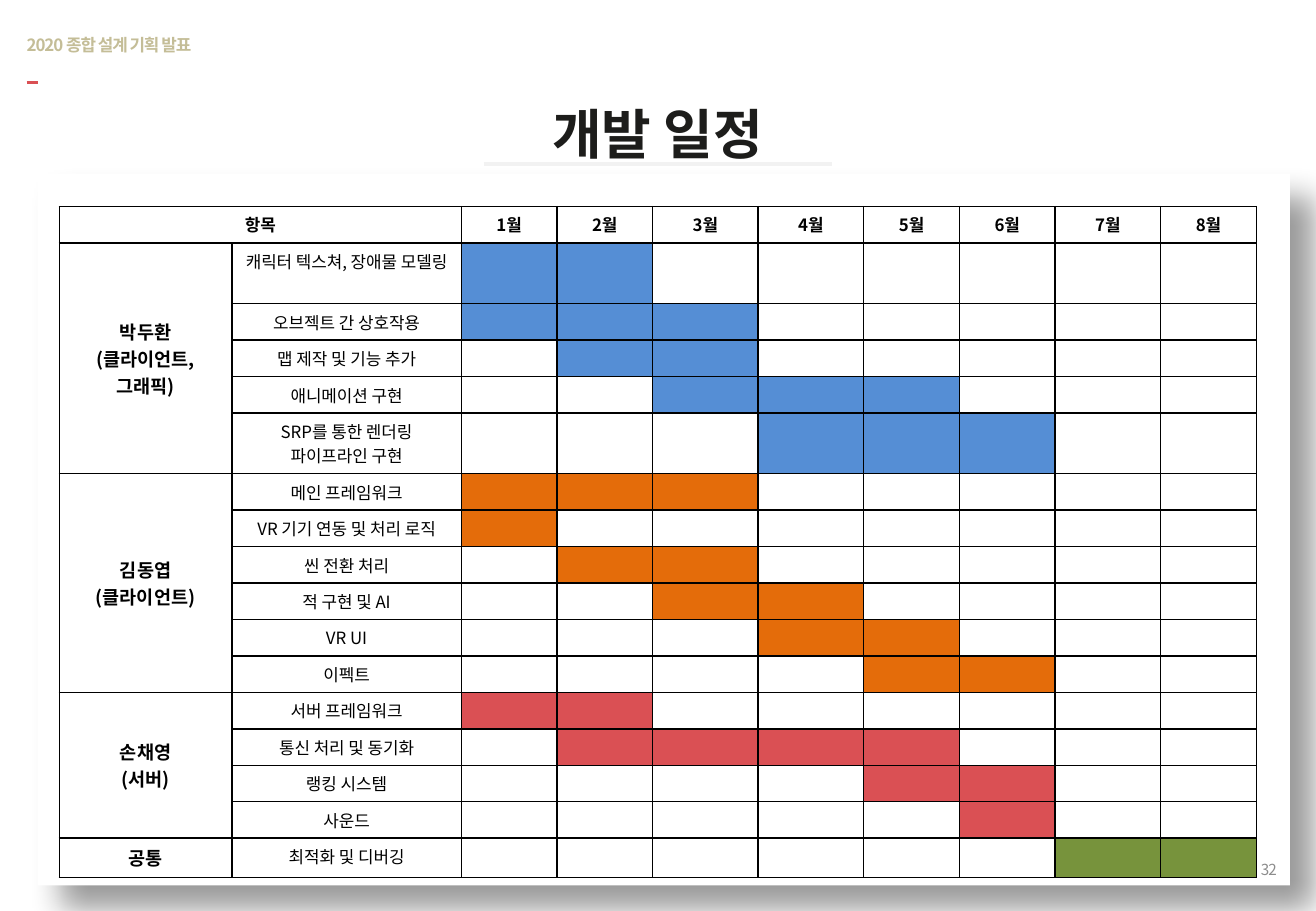
from dataclasses import dataclass

from lxml import etree
from pptx import Presentation
from pptx.dml.color import RGBColor
from pptx.enum.shapes import MSO_CONNECTOR, MSO_SHAPE
from pptx.enum.text import MSO_ANCHOR, PP_ALIGN
from pptx.oxml.ns import qn
from pptx.util import Pt

LEFT, CENTER, RIGHT = PP_ALIGN.LEFT, PP_ALIGN.CENTER, PP_ALIGN.RIGHT
TOP, MIDDLE = MSO_ANCHOR.TOP, MSO_ANCHOR.MIDDLE
STRAIGHT, RECTANGLE = MSO_CONNECTOR.STRAIGHT, MSO_SHAPE.RECTANGLE


@dataclass(frozen=True)
class Theme:
    font: str = "Noto Sans CJK KR"
    white: str = "FFFFFF"
    black: str = "000000"
    heading: str = "1D1D1B"
    tagline: str = "C4BD97"
    number: str = "8C8C8C"
    rule: str = "F2F2F2"
    blue: str = "558ED5"
    orange: str = "E46C0A"
    red: str = "DA5054"
    green: str = "77933C"
    heading_size: float = 32
    owner_size: float = 11
    body_size: float = 10
    number_size: float = 9
    tracking: float = -0.6
    border: float = 1


THEME = Theme()
COLUMN_WIDTHS = [102.2, 136, 56.7, 56.7, 62.6, 62.6, 56.7, 56.7, 62.6, 56.7]
ROW_HEIGHT, TALL_ROW_HEIGHT, LAST_ROW_HEIGHT = 21.6, 36, 23.2
TALL_ROWS = (1, 5)

SCHEDULE = [
    (["박두환", "(클라이언트, 그래픽)"], THEME.blue, [
        ("캐릭터 텍스쳐, 장애물 모델링", 1, 2),
        ("오브젝트 간 상호작용", 1, 3),
        ("맵 제작 및 기능 추가", 2, 3),
        ("애니메이션 구현", 3, 5),
        ("SRP를 통한 렌더링 파이프라인 구현", 4, 6),
    ]),
    (["김동엽", "(클라이언트)"], THEME.orange, [
        ("메인 프레임워크", 1, 3),
        ("VR 기기 연동 및 처리 로직", 1, 1),
        ("씬 전환 처리", 2, 3),
        ("적 구현 및 AI", 3, 4),
        ("VR UI", 4, 5),
        ("이펙트", 5, 6),
    ]),
    (["손채영", "(서버)"], THEME.red, [
        ("서버 프레임워크", 1, 2),
        ("통신 처리 및 동기화", 2, 5),
        ("랭킹 시스템", 5, 6),
        ("사운드", 6, 6),
    ]),
    (["공통"], THEME.green, [("최적화 및 디버깅", 7, 8)]),
]


def write(frame, lines, size, color, bold=False, align=CENTER, tracking=0):
    for index, line in enumerate(lines):
        para = frame.paragraphs[0] if index == 0 else frame.add_paragraph()
        para.text = line
        para.alignment = align
        font = para.font
        font.size, font.bold, font.name = Pt(size), bold, THEME.font
        font.color.rgb = RGBColor.from_string(color)
        defaults = para._p.pPr.find(qn("a:defRPr"))
        etree.SubElement(defaults, qn("a:ea"), typeface=THEME.font)
        if tracking:
            defaults.set("spc", str(round(tracking * 100)))


def add_text(page, bounds, text, size, color, inset=True, **style):
    box = page.shapes.add_textbox(*map(Pt, bounds))
    frame = box.text_frame
    frame.word_wrap = True
    frame.vertical_anchor = MIDDLE
    if not inset:
        frame.margin_left = frame.margin_right = Pt(0)
        frame.margin_top = frame.margin_bottom = Pt(0)
    write(frame, [text], size, color, **style)
    return frame


def add_rule(page, left, right, top, color, width):
    rule = page.shapes.add_connector(STRAIGHT, Pt(left), Pt(top), Pt(right), Pt(top))
    rule.line.color.rgb = RGBColor.from_string(color)
    rule.line.width = Pt(width)
    etree.SubElement(rule._element.spPr, qn("a:effectLst"))


def add_panel(page):
    panel = page.shapes.add_shape(RECTANGLE, Pt(22.3), Pt(103), Pt(742.3), Pt(421.9))
    panel.fill.solid()
    panel.fill.fore_color.rgb = RGBColor.from_string(THEME.white)
    panel.line.fill.background()
    panel.shadow.inherit = False
    effects = panel._element.spPr.find(qn("a:effectLst"))
    shadow = etree.SubElement(
        effects, qn("a:outerShdw"), blurRad=str(Pt(19)), dist=str(Pt(20)),
        dir="2700000", algn="tl", rotWithShape="0")
    color = etree.SubElement(shadow, qn("a:srgbClr"), val=THEME.black)
    etree.SubElement(color, qn("a:alpha"), val="40000")


def style_empty_cell(cell):
    properties = cell._tc.get_or_add_tcPr()
    for side in ("lnL", "lnR", "lnT", "lnB"):
        line = etree.SubElement(properties, qn(f"a:{side}"), w=str(Pt(THEME.border)))
        fill = etree.SubElement(line, qn("a:solidFill"))
        etree.SubElement(fill, qn("a:srgbClr"), val=THEME.black)
    cell.fill.background()
    etree.SubElement(cell.text_frame.paragraphs[0]._p, qn("a:endParaRPr"),
                     sz=str(round(THEME.body_size * 100)))


def fill_cell(cell, lines, size=THEME.body_size, bold=False, anchor=TOP):
    cell.vertical_anchor = anchor
    write(cell.text_frame, lines, size, THEME.black, bold)


def add_schedule(page):
    row_count = 1 + sum(len(tasks) for owner, color, tasks in SCHEDULE)
    heights = [TALL_ROW_HEIGHT if row in TALL_ROWS else ROW_HEIGHT
               for row in range(row_count)]
    heights[-1] = LAST_ROW_HEIGHT
    holder = page.shapes.add_table(
        row_count, len(COLUMN_WIDTHS), Pt(35.2), Pt(122.4),
        Pt(sum(COLUMN_WIDTHS)), Pt(sum(heights)))
    table = holder.table
    table.first_row = table.horz_banding = False
    for column, width in zip(table.columns, COLUMN_WIDTHS):
        column.width = Pt(width)
    for row, height in zip(table.rows, heights):
        row.height = Pt(height)
    for cell in table.iter_cells():
        style_empty_cell(cell)

    table.cell(0, 0).merge(table.cell(0, 1))
    fill_cell(table.cell(0, 0), ["항목"], bold=True)
    for month in range(1, 9):
        fill_cell(table.cell(0, month + 1), [f"{month}월"], bold=True)

    row = 1
    for owner, color, tasks in SCHEDULE:
        owner_cell = table.cell(row, 0)
        if len(tasks) > 1:
            owner_cell.merge(table.cell(row + len(tasks) - 1, 0))
        fill_cell(owner_cell, owner, THEME.owner_size, True, MIDDLE)
        for task, first, last in tasks:
            fill_cell(table.cell(row, 1), [task])
            for month in range(first, last + 1):
                fill = table.cell(row, month + 1).fill
                fill.solid()
                fill.fore_color.rgb = RGBColor.from_string(color)
            row += 1


def main():
    deck = Presentation()
    deck.slide_width, deck.slide_height = Pt(780), Pt(540)
    page = deck.slides.add_slide(deck.slide_layouts[6])
    add_panel(page)
    add_rule(page, 15.8, 22.3, 49, THEME.red, 2)
    add_rule(page, 286.6, 493.2, 97.2, THEME.rule, 2.25)
    heading = add_text(page, (103.7, 64.8, 572.4, 27.4), "개발 일정",
                       THEME.heading_size, THEME.heading, bold=True)
    heading.paragraphs[0].space_after = Pt(3)
    add_text(page, (723.6, 504, 33.1, 22.3), "32", THEME.number_size,
             THEME.number, inset=False, align=RIGHT, tracking=THEME.tracking)
    add_text(page, (15.8, 9.4, 215.3, 33.8), "2020 종합 설계 기획 발표",
             THEME.body_size, THEME.tagline, inset=False, bold=True,
             align=LEFT, tracking=THEME.tracking)
    add_schedule(page)
    deck.save("out.pptx")


if __name__ == "__main__":
    main()
